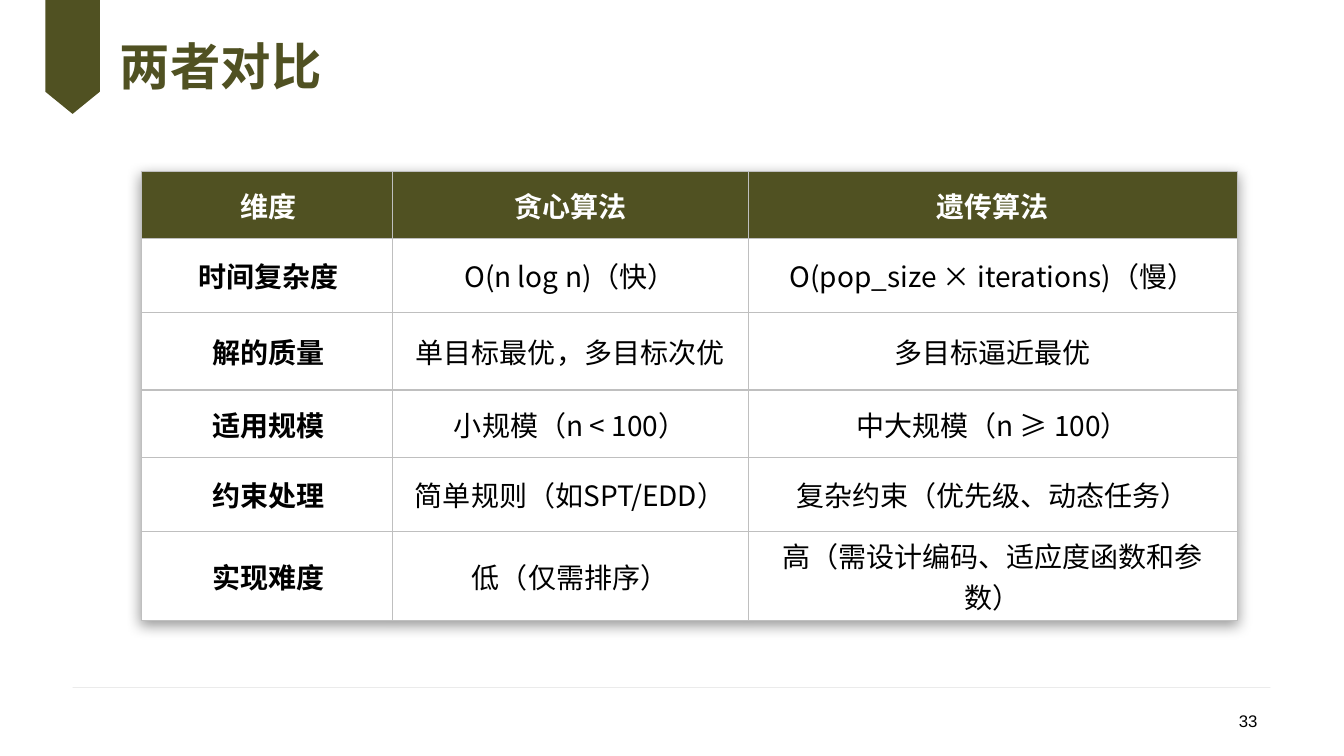
from lxml.etree import SubElement
from pptx import Presentation
from pptx.dml.color import RGBColor
from pptx.enum.text import MSO_ANCHOR as Anchor, PP_ALIGN as Align
from pptx.oxml import parse_xml
from pptx.oxml.ns import nsdecls, qn
from pptx.util import Inches, Pt

TITLE = "两者对比"
PAGE_NUMBER = "33"
ROWS = [
    ("维度", "贪心算法", "遗传算法"),
    ("时间复杂度", "O(n log n)（快）", "O(pop_size × iterations)（慢）"),
    ("解的质量", "单目标最优，多目标次优", "多目标逼近最优"),
    ("适用规模", "小规模（n < 100）", "中大规模（n ≥ 100）"),
    ("约束处理", "简单规则（如SPT/EDD）", "复杂约束（优先级、动态任务）"),
    ("实现难度", "低（仅需排序）", "高（需设计编码、适应度函数和参数）"),
]
COLUMN_WIDTHS = (2.49, 3.53, 4.85)
ROW_HEIGHTS = (0.67, 0.73, 0.77, 0.67, 0.73, 0.73)
RIBBON = [(0.99, -0.11), (0.99, 0.91), (0.72, 1.13), (0.45, 0.91), (0.45, -0.11)]

THEME = {
    "olive": "505122", "white": "FFFFFF", "black": "000000", "rule": "BFBFBF",
    "font": "Arial", "cjk": "Noto Sans CJK SC",
    "title": 36, "cell": 20, "number": 12,
}


def rgb(name):
    return RGBColor.from_string(THEME[name])


def write(frame, text, size, color="black", font="font", bold=False,
          align=Align.LEFT, anchor=Anchor.TOP, spacing=None):
    frame.word_wrap = True
    frame.vertical_anchor = anchor
    para = frame.paragraphs[0]
    para.alignment = align
    para.line_spacing = spacing
    span = para.add_run()
    span.text = text
    span.font.size = Pt(THEME[size])
    span.font.bold = bold
    span.font.color.rgb = rgb(color)
    span.font.name = THEME[font]
    SubElement(span.font._element, qn("a:ea"), typeface=THEME["cjk"])


def add_borders(cell):
    properties = cell._tc.get_or_add_tcPr()
    for index, side in enumerate(("lnL", "lnR", "lnT", "lnB")):
        properties.insert(index, parse_xml(
            f'<a:{side} {nsdecls("a")} w="{Pt(1)}"><a:solidFill>'
            f'<a:srgbClr val="{THEME["rule"]}"/></a:solidFill></a:{side}>'))


def add_footer_rule(page):
    rule = page.shapes.add_connector(
        1, Inches(0.72), Inches(6.82), Inches(12.6), Inches(6.82))
    rule.line.width = Pt(0.25)
    rule.line.color.rgb = rgb("rule")
    color = rule.line._ln.find(".//" + qn("a:srgbClr"))
    SubElement(color, qn("a:alpha"), val="47000")
    SubElement(rule._element.spPr, qn("a:effectLst"))


def add_ribbon(page):
    points = [(Inches(x), Inches(y)) for x, y in RIBBON]
    builder = page.shapes.build_freeform(*points[0])
    builder.add_line_segments(points[1:], close=True)
    ribbon = builder.convert_to_shape()
    ribbon.shadow.inherit = False
    ribbon.fill.solid()
    ribbon.fill.fore_color.rgb = rgb("olive")
    ribbon.line.fill.background()


def add_comparison(page):
    frame = page.shapes.add_table(
        len(ROWS), len(COLUMN_WIDTHS), Inches(1.4), Inches(1.7),
        Inches(sum(COLUMN_WIDTHS)), Inches(sum(ROW_HEIGHTS)))
    table = frame.table
    for column, width in zip(table.columns, COLUMN_WIDTHS):
        column.width = Inches(width)
    for row, height in zip(table.rows, ROW_HEIGHTS):
        row.height = Inches(height)

    for row_index, texts in enumerate(ROWS):
        header = row_index == 0
        for column_index, text in enumerate(texts):
            first = column_index == 0
            cell = table.cell(row_index, column_index)
            cell.margin_left = Inches(0.1 if first else 0.07)
            cell.margin_right = Inches(0.07)
            cell.margin_top = cell.margin_bottom = Inches(0.04)
            cell.fill.solid()
            cell.fill.fore_color.rgb = rgb("olive" if header else "white")
            cell.vertical_anchor = Anchor.MIDDLE
            write(cell.text_frame, text, "cell", font="cjk",
                  color="white" if header else "black",
                  bold=header or first, align=Align.CENTER,
                  anchor=None)
            add_borders(cell)

    # Soft shadow below the table
    table._tbl.tblPr.insert(0, parse_xml(
        f'<a:effectLst {nsdecls("a")}><a:outerShdw blurRad="{Inches(0.14)}" '
        f'dist="{Inches(0.04)}" dir="5400000" algn="t" rotWithShape="0">'
        f'<a:srgbClr val="{THEME["black"]}"><a:alpha val="40000"/></a:srgbClr>'
        '</a:outerShdw></a:effectLst>'))


def add_text(page, left, top, width, height, text, size, margin=None, **form):
    box = page.shapes.add_textbox(
        Inches(left), Inches(top), Inches(width), Inches(height))
    frame = box.text_frame
    if margin is not None:
        frame.margin_left = frame.margin_right = Inches(margin)
        frame.margin_top = frame.margin_bottom = Inches(margin)
    write(frame, text, size, **form)


def main():
    deck = Presentation()
    deck.slide_width, deck.slide_height = Inches(13.33), Inches(7.5)
    page = deck.slides.add_slide(deck.slide_layouts[6])

    # Page furniture
    add_footer_rule(page)
    add_ribbon(page)

    # Content
    add_comparison(page)
    add_text(page, 1.19, 0.26, 8.93, 0.86, TITLE, "title", margin=0,
             color="olive", bold=True, anchor=Anchor.MIDDLE, spacing=0.9)
    add_text(page, 9.57, 6.95, 3, 0.4, PAGE_NUMBER, "number",
             align=Align.RIGHT, anchor=Anchor.MIDDLE)
    deck.save("out.pptx")


if __name__ == "__main__":
    main()
